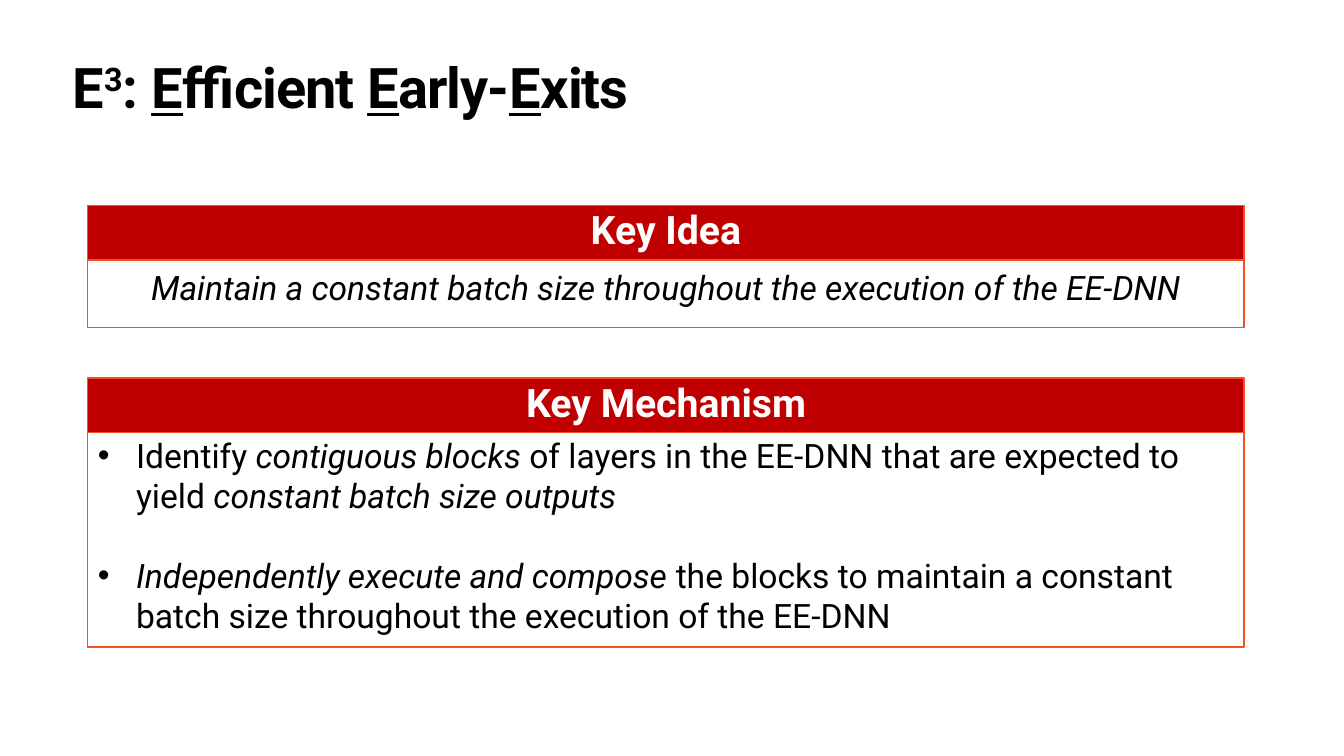
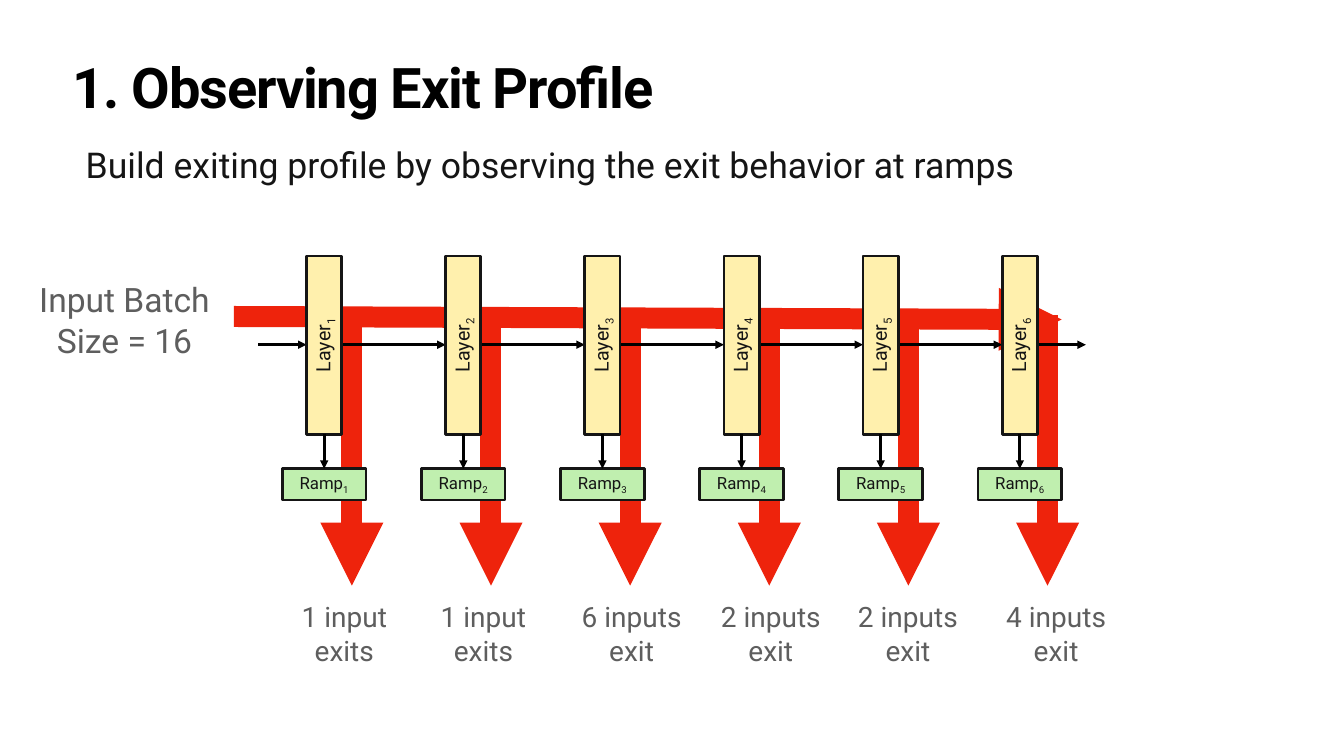
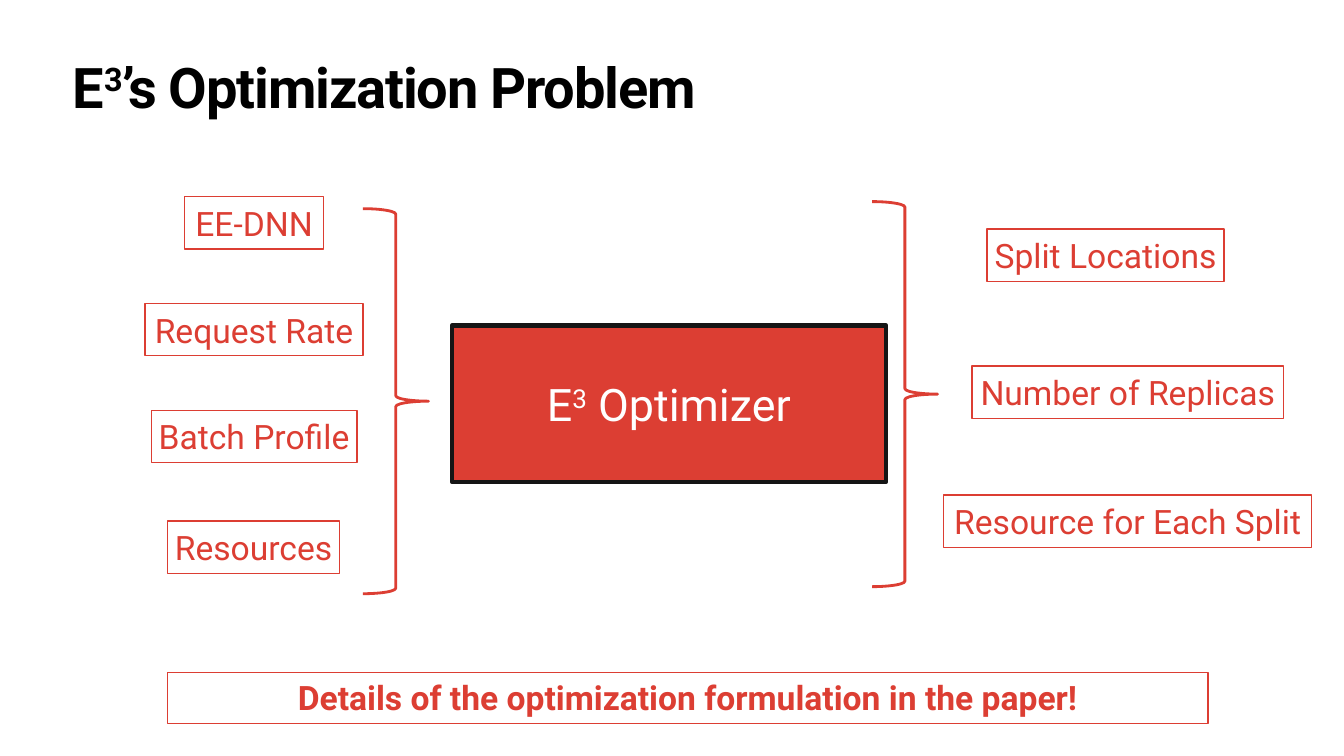
from lxml.etree import SubElement
from pptx import Presentation
from pptx.dml.color import RGBColor
from pptx.enum.shapes import MSO_CONNECTOR, MSO_SHAPE
from pptx.enum.text import MSO_ANCHOR, MSO_AUTO_SIZE, PP_ALIGN
from pptx.oxml.ns import qn
from pptx.util import Inches, Pt

# Shared style
FONT = "Roboto"
BLACK = RGBColor(0x00, 0x00, 0x00)
INK = RGBColor(0x15, 0x15, 0x15)
GRAY = RGBColor(0x5E, 0x5E, 0x5E)
WHITE = RGBColor(0xFF, 0xFF, 0xFF)
DARK_RED = RGBColor(0xC0, 0x00, 0x00)
ORANGE = RGBColor(0xF2, 0x50, 0x22)
FLOW_RED = RGBColor(0xEE, 0x23, 0x0C)
BRICK = RGBColor(0xDC, 0x3E, 0x33)
CREAM = RGBColor(0xFF, 0xF0, 0xAD)
MINT = RGBColor(0xC0, 0xEF, 0xAF)

TITLE_BOX = (0.66, 0.59, 12.01, 0.78)
INSETS = (0.06, 0.06, 0.06, 0.06)
TITLE_ONLY, TITLE_AND_BODY = 5, 1

# Run formats used inside a paragraph
ITALIC = {"italic": True}
UNDERLINE = {"underline": True}
SUPERSCRIPT = {"baseline": 30}
SUBSCRIPT = {"baseline": -25}


def write_text(shape, paragraphs, size, color, bold=False, italic=False,
               align=PP_ALIGN.CENTER, anchor=MSO_ANCHOR.MIDDLE, insets=INSETS,
               wrap=True, line_spacing=None, space_before=0, spacing=None,
               bullet=None, indent=0.38, vertical=None):
    """Fill a shape; each paragraph is a list of strings or (string, format)."""
    frame = shape.text_frame
    frame.auto_size = MSO_AUTO_SIZE.NONE
    frame.word_wrap = wrap
    frame.vertical_anchor = anchor
    (frame.margin_left, frame.margin_top,
     frame.margin_right, frame.margin_bottom) = map(Inches, insets)
    if vertical:
        shape.element.txBody.bodyPr.set("vert", vertical)
    for index, pieces in enumerate(paragraphs):
        paragraph = frame.add_paragraph() if index else frame.paragraphs[0]
        if bullet:
            properties = paragraph._p.get_or_add_pPr()
            properties.set("marL", str(Inches(indent)))
            properties.set("indent", str(-Inches(indent)))
            SubElement(properties, qn("a:buChar")).set("char", bullet)
        paragraph.alignment = align
        paragraph.space_before = Pt(space_before if index else 0)
        if line_spacing:
            paragraph.line_spacing = line_spacing
        for piece in pieces:
            text, style = (piece, {}) if isinstance(piece, str) else piece
            run = paragraph.add_run()
            run.text = text
            font = run.font
            font.name, font.size, font.bold = FONT, Pt(size), bold
            font.color.rgb = color
            font.italic = style.get("italic", italic)
            font.underline = style.get("underline", False)
            run_properties = run._r.get_or_add_rPr()
            if "baseline" in style:
                run_properties.set("baseline", str(style["baseline"] * 1000))
            if spacing:
                run_properties.set("spc", str(int(spacing * 100)))


def place(shape, box):
    shape.left, shape.top, shape.width, shape.height = map(Inches, box)


def set_line(shape, color, width):
    shape.line.color.rgb = color
    shape.line.width = Pt(width)


def add_box(slide, box, fill=None, line=None, width=1, kind=MSO_SHAPE.RECTANGLE):
    shape = slide.shapes.add_shape(kind, *map(Inches, box))
    shape.shadow.inherit = False
    if fill is None:
        shape.fill.background()
    else:
        shape.fill.solid()
        shape.fill.fore_color.rgb = fill
    set_line(shape, line, width)
    return shape


def add_label(slide, box, paragraphs, size, color, **options):
    shape = slide.shapes.add_textbox(*map(Inches, box))
    write_text(shape, paragraphs, size, color, **options)


def add_arrow(slide, start, end, color=BLACK, width=2):
    arrow = slide.shapes.add_connector(
        MSO_CONNECTOR.STRAIGHT, *map(Inches, (*start, *end)))
    set_line(arrow, color, width)
    SubElement(arrow.line._get_or_add_ln(), qn("a:tailEnd")).set("type", "triangle")
    SubElement(arrow.element.spPr, qn("a:effectLst"))


def add_titled_slide(presentation, title, layout=TITLE_ONLY):
    slide = presentation.slides.add_slide(presentation.slide_layouts[layout])
    place(slide.shapes.title, TITLE_BOX)
    write_text(slide.shapes.title, [title], 40, BLACK, bold=True, spacing=-0.8,
               align=PP_ALIGN.LEFT, anchor=MSO_ANCHOR.TOP, line_spacing=0.8)
    return slide


# Slide 1: two panels, each a red header over a framed body
def add_panel(slide, box, heading, paragraphs, body=None, **options):
    left, top, width, height = box
    body_box = (left, top + 0.51, width, height - 0.51)
    if body is None:
        body = add_box(slide, body_box, line=ORANGE)
    else:
        place(body, body_box)
        set_line(body, ORANGE, 1)
    write_text(body, paragraphs, 24, BLACK, anchor=MSO_ANCHOR.TOP, **options)
    header = add_box(slide, (left, top, width, 0.54), DARK_RED, ORANGE)
    write_text(header, [[heading]], 28, WHITE, bold=True,
               anchor=MSO_ANCHOR.TOP, insets=(0.1, 0, 0.1, 0.1))


def build_idea_slide(presentation):
    title = ["E", ("3", SUPERSCRIPT), ": ", ("E", UNDERLINE), "fficient ",
             ("E", UNDERLINE), "arly-", ("E", UNDERLINE), "xits"]
    slide = add_titled_slide(presentation, title, TITLE_AND_BODY)
    add_panel(
        slide, (0.87, 2.04, 11.47, 1.21), "Key Idea",
        [["Maintain a constant batch size throughout the execution of the EE-DNN"]],
        italic=True, insets=(0.1, 0.1, 0.1, 0.1))
    mechanism = [
        ["Identify ", ("contiguous blocks ", ITALIC),
         "of layers in the EE-DNN that are expected to yield ",
         ("constant batch size outputs", ITALIC)],
        [("Independently execute and compose", ITALIC),
         " the blocks to maintain a constant batch size throughout "
         "the execution of the EE-DNN"],
    ]
    add_panel(slide, (0.87, 3.75, 11.47, 2.67), "Key Mechanism", mechanism,
              body=slide.placeholders[1], bullet="•", align=PP_ALIGN.LEFT,
              insets=(0.1, 0.05, 0.03, 0.05), space_before=28.5)


# Slide 2: a chain of layers, each with a ramp and an exit arrow
LAYER_SIZE = (0.35, 1.77)
RAMP_SIZE = (0.83, 0.31)
LAYER_PITCH = 1.38
# Two caption lines and the caption's left edge within the chain
EXITS = [("1 input", "exits", -0.18), ("1 input", "exits", 1.2),
         ("6 inputs", "exit", 2.67), ("2 inputs", "exit", 4.05),
         ("2 inputs", "exit", 5.41), ("4 inputs", "exit", 6.88)]


def add_layer_chain(slide, left, top):
    layer_width, layer_height = LAYER_SIZE
    ramp_width, ramp_height = RAMP_SIZE
    lefts = [left + LAYER_PITCH * index for index in range(len(EXITS))]
    flow_y, ramp_top = top + 0.88, top + 2.11

    # Thick flow: exits downward, then the batch running across
    for layer_left in lefts:
        exit_x = layer_left + 0.45
        add_arrow(slide, (exit_x, top + 0.59), (exit_x, top + 3.27), FLOW_RED, 15)
    add_arrow(slide, (left - 0.72, top + 0.6), (left + 7.49, top + 0.63), FLOW_RED, 15)

    # Thin arrows into, between and out of the layers
    starts = [left - 0.48] + [layer_left + layer_width for layer_left in lefts]
    ends = lefts + [lefts[-1] + layer_width + 0.48]
    for start, end in zip(starts, ends):
        add_arrow(slide, (start, flow_y), (end, flow_y))

    # Layers, ramps and captions
    for number, (layer_left, exit_data) in enumerate(zip(lefts, EXITS), 1):
        count, verb, caption_left = exit_data
        index = (str(number), SUBSCRIPT)
        center = layer_left + layer_width / 2
        layer = add_box(slide, (layer_left, top, *LAYER_SIZE), CREAM, INK, 2)
        write_text(layer, [["Layer", index]], 14, INK, vertical="vert270")
        ramp = add_box(slide, (center - ramp_width / 2, ramp_top, *RAMP_SIZE),
                       MINT, INK, 2)
        write_text(ramp, [["Ramp", index]], 12, INK)
        add_arrow(slide, (center, top + layer_height), (center, ramp_top))
        add_label(slide, (left + caption_left, top + 3.35, 1.11, 0.79),
                  [[count], [verb]], 20, GRAY, wrap=False)


def build_profile_slide(presentation):
    slide = add_titled_slide(presentation, ["1. Observing Exit Profile"])
    add_label(slide, (0.82, 1.37, 12.01, 0.51),
              [["Build exiting profile by observing the exit behavior at ramps"]],
              25.4, INK, align=PP_ALIGN.LEFT, anchor=MSO_ANCHOR.TOP,
              insets=(0.03, 0.05, 0.03, 0.05))
    add_label(slide, (0.26, 2.71, 1.95, 0.92), [["Input Batch"], ["Size = 16"]],
              24, GRAY, wrap=False)
    add_layer_chain(slide, 3.04, 2.54)


# Slide 3: inputs and outputs of the optimizer
# Each tag: text, left and top within its column, width
INPUT_TAGS = [("EE-DNN", 0.39, 0, 1.38), ("Request Rate", 0, 1.06, 2.16),
              ("Batch Profile", 0.06, 2.12, 2.04), ("Resources", 0.22, 3.22, 1.71)]
OUTPUT_TAGS = [("Split Locations", 0.43, 0, 2.35),
               ("Number of Replicas", 0.28, 1.36, 3.09),
               ("Resource for Each Split", 0, 2.64, 3.65)]


def add_tag_column(slide, left, top, tags, fill=None):
    for text, offset_x, offset_y, width in tags:
        tag = add_box(slide, (left + offset_x, top + offset_y, width, 0.52),
                      fill, BRICK)
        write_text(tag, [[text]], 24, BRICK, wrap=False)


def build_optimizer_slide(presentation):
    slide = add_titled_slide(
        presentation, ["E", ("3", SUPERSCRIPT), "’s Optimization Problem"])
    optimizer = add_box(slide, (4.48, 3.23, 4.31, 1.55), BRICK, INK, 3)
    write_text(optimizer, [["E", ("3", SUPERSCRIPT), " Optimizer"]], 32, WHITE,
               insets=(0.5, 0.5, 0.5, 0.5))
    add_tag_column(slide, 1.44, 1.95, INPUT_TAGS)
    add_tag_column(slide, 9.36, 2.27, OUTPUT_TAGS, WHITE)
    for left, top in ((3.6, 2.07), (8.65, 2)):
        add_box(slide, (left, top, 0.65, 3.82), line=BRICK, width=2,
                kind=MSO_SHAPE.RIGHT_BRACE)
    note = add_box(slide, (1.66, 6.67, 10.32, 0.51), WHITE, BRICK)
    write_text(note, [["Details of the optimization formulation in the paper!"]],
               24, BRICK, bold=True, anchor=MSO_ANCHOR.TOP,
               insets=(0.03, 0.05, 0.03, 0.05))


def main():
    presentation = Presentation()
    presentation.slide_width = Inches(13.33)
    presentation.slide_height = Inches(7.5)
    build_idea_slide(presentation)
    build_profile_slide(presentation)
    build_optimizer_slide(presentation)
    presentation.save("out.pptx")


if __name__ == "__main__":
    main()
